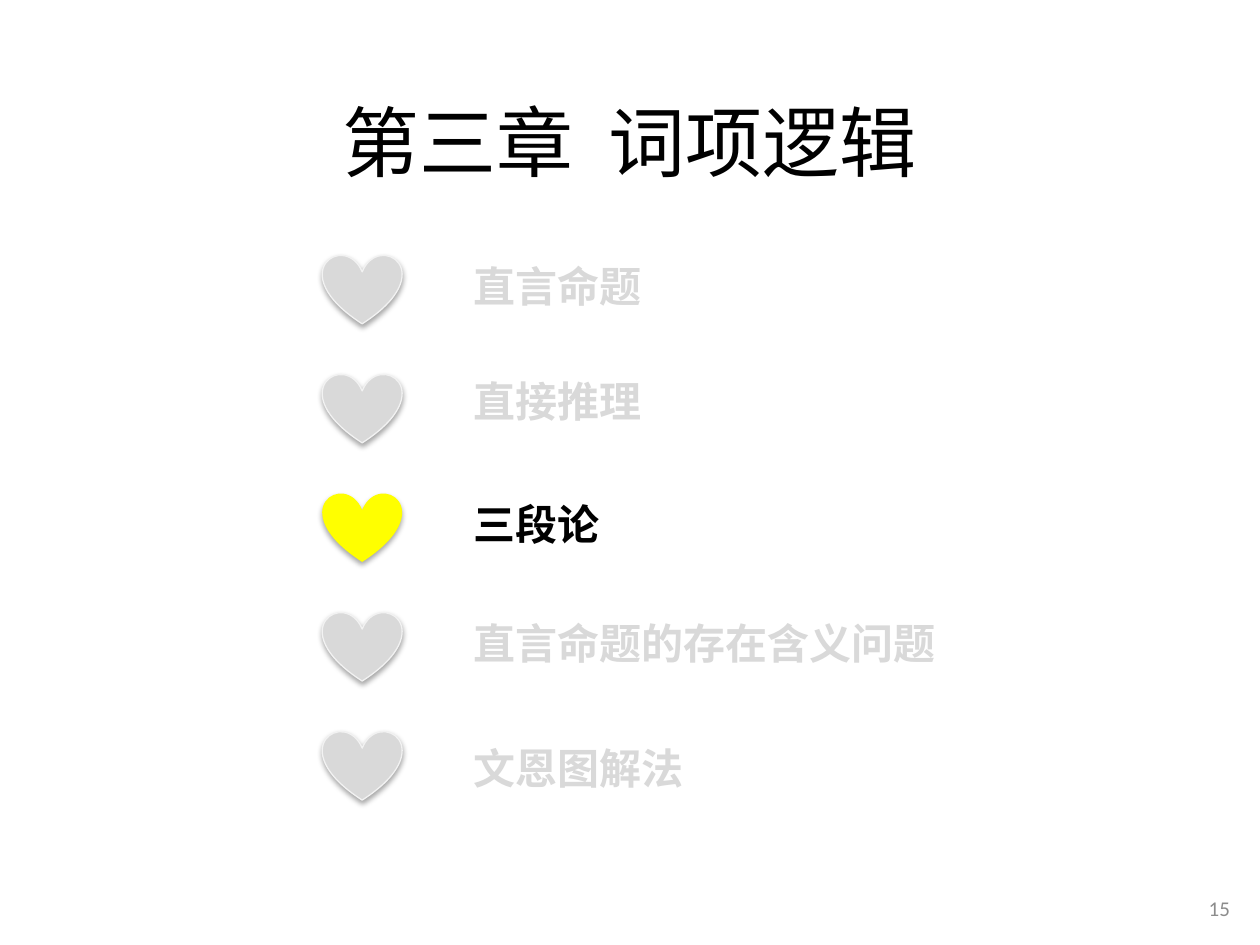
from lxml import etree
from pptx import Presentation, util as u
from pptx.dml.color import RGBColor
from pptx.enum import shapes, text
from pptx.oxml.ns import qn

COLORS = {"ink": "000000", "muted": "D9D9D9", "edge": "F2F2F2",
          "active": "FFFF00", "number": "8C8C8C"}
CJK = "Noto Sans CJK JP"
CHAPTER = "第三章  词项逻辑"
PAGE = "15"
CURRENT = "三段论"
TOPICS = [
    ("直言命题", "Calibri", 0),
    ("直接推理", "Arial", -0.03),
    ("三段论", "Arial", 0),
    ("直言命题的存在含义问题", "Arial", 0),
    ("文恩图解法", "Arial", 0.04),
]
TOP, PITCH = 2.02, 0.945
HEART_LEFT, HEART_WIDTH, HEART_HEIGHT = 2.56, 0.63, 0.55
LABEL_LEFT, LABEL_WIDTH, LABEL_HEIGHT = 3.66, 5.59, 0.5
SHADOW = {"blurRad": "40000", "dist": "23000", "dir": "5400000", "rotWithShape": "0"}


def rgb(name):
    return RGBColor.from_string(COLORS[name])


def inches(*lengths):
    return [u.Inches(length) for length in lengths]


def write(frame, words, color, align, **font):
    frame.word_wrap = True
    paragraph = frame.paragraphs[0]
    paragraph.alignment = align
    run = paragraph.add_run()
    run.text = words
    for key, value in font.items():
        setattr(run.font, key, value)
    run.font.color.rgb = rgb(color)
    east_asian = etree.SubElement(run.font._element, qn("a:ea"))
    east_asian.set("typeface", CJK)
    return paragraph


def add_heart(slide, top, current):
    heart = slide.shapes.add_shape(
        shapes.MSO_SHAPE.HEART, *inches(HEART_LEFT, top, HEART_WIDTH, HEART_HEIGHT))
    heart.fill.solid()
    heart.fill.fore_color.rgb = rgb("active" if current else "muted")
    if current:
        heart.line.fill.background()
    else:
        heart.line.color.rgb = rgb("edge")
        heart.line.width = u.Pt(0.75)
    heart.shadow.inherit = False
    effects = heart._element.spPr.find(qn("a:effectLst"))
    shadow = etree.SubElement(effects, qn("a:outerShdw"), SHADOW)
    tint = etree.SubElement(shadow, qn("a:srgbClr"), val=COLORS["ink"])
    etree.SubElement(tint, qn("a:alpha"), val="35000")


def main():
    deck = Presentation()
    deck.slide_width, deck.slide_height = inches(10, 7.5)
    slide = deck.slides.add_slide(deck.slide_layouts[5])

    title = slide.shapes.title
    title.left, title.top, title.width, title.height = inches(0.5, 0.31, 9, 1.24)
    title.text_frame.vertical_anchor = text.MSO_ANCHOR.MIDDLE
    heading = write(title.text_frame, CHAPTER, "ink", text.PP_ALIGN.CENTER,
                    size=u.Pt(44), name=CJK)
    heading.line_spacing = 1.5

    number = slide.shapes.add_textbox(*inches(9.46, 7.01, 0.4, 0.4)).text_frame
    number.vertical_anchor = text.MSO_ANCHOR.MIDDLE
    write(number, PAGE, "number", text.PP_ALIGN.RIGHT, size=u.Pt(12), name="Calibri")

    for row, (topic, face, shift) in enumerate(TOPICS):
        top = TOP + row * PITCH
        current = topic == CURRENT
        add_heart(slide, top, current)
        label = slide.shapes.add_textbox(
            *inches(LABEL_LEFT, top + shift, LABEL_WIDTH, LABEL_HEIGHT)).text_frame
        label.auto_size = text.MSO_AUTO_SIZE.SHAPE_TO_FIT_TEXT
        write(label, topic, "ink" if current else "muted", text.PP_ALIGN.LEFT,
              size=u.Pt(24), name=face, bold=True)

    deck.save("out.pptx")


if __name__ == "__main__":
    main()
